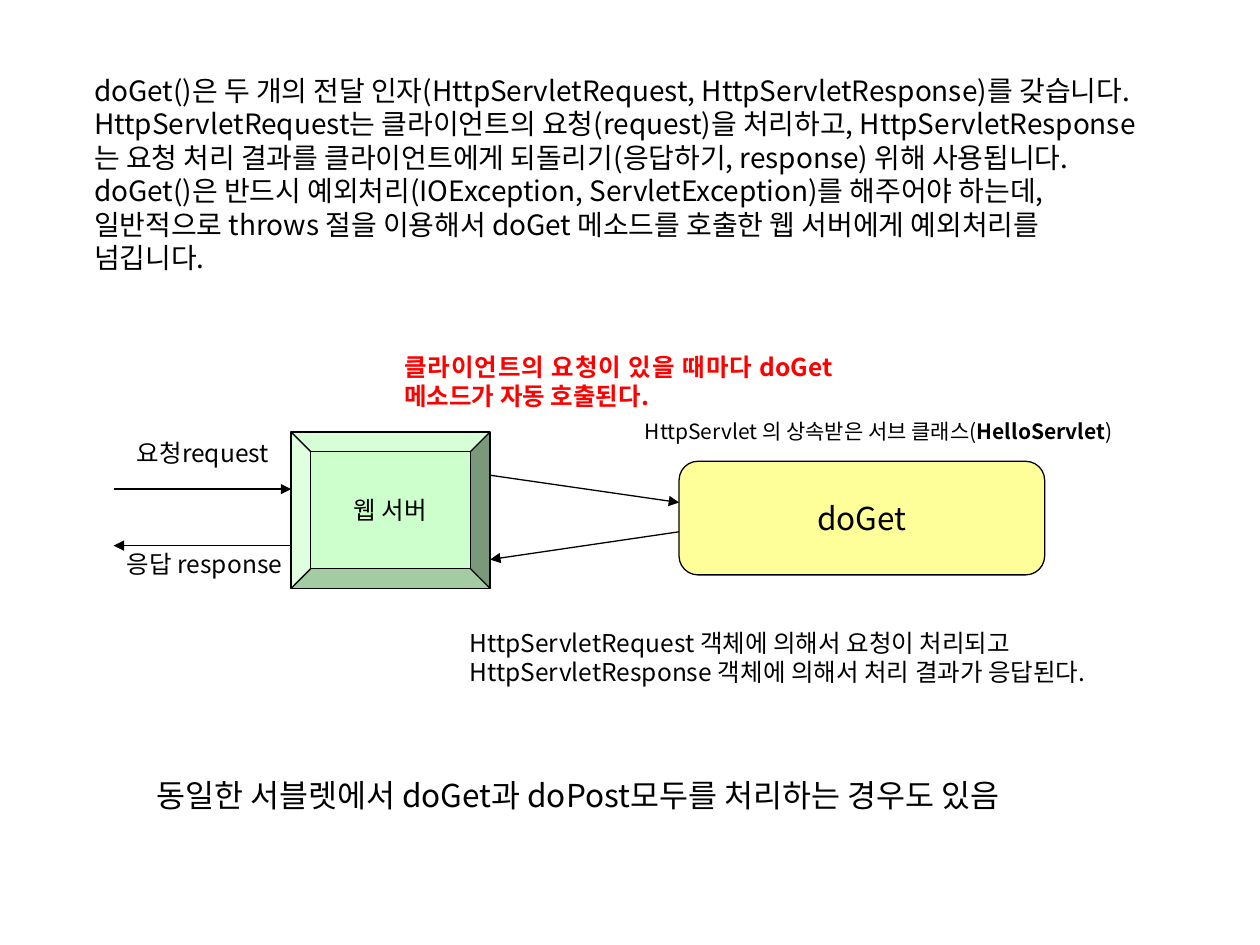
import pptx
import pptx.dml.color
import pptx.enum.shapes
import pptx.enum.text
import pptx.oxml.ns
import pptx.util
from lxml import etree
from pptx.util import Cm

BLACK = pptx.dml.color.RGBColor(0x00, 0x00, 0x00)
RED = pptx.dml.color.RGBColor(0xFF, 0x00, 0x00)
YELLOW = pptx.dml.color.RGBColor(0xFF, 0xFF, 0x99)
GREEN = pptx.dml.color.RGBColor(0xCC, 0xFF, 0xCC)

FONT = "Noto Sans CJK KR"
LINE_RATIO = 1.2
SHAPES = pptx.enum.shapes.MSO_SHAPE
ALIGN = pptx.enum.text.PP_ALIGN
ANCHOR = pptx.enum.text.MSO_ANCHOR
qn = pptx.oxml.ns.qn

EXPLANATION = (
    "doGet()은 두 개의 전달 인자(HttpServletRequest, HttpServletResponse)를 갖습니다. "
    "HttpServletRequest는 클라이언트의 요청(request)을 처리하고, "
    "HttpServletResponse는 요청 처리 결과를 클라이언트에게 되돌리기(응답하기, response) "
    "위해 사용됩니다. doGet()은 반드시 예외처리(IOException, ServletException)를 "
    "해주어야 하는데, 일반적으로 throws 절을 이용해서 doGet 메소드를 호출한 "
    "웹 서버에게 예외처리를 넘깁니다."
)


def format_span(span, size, color, bold):
    span.font.name = FONT
    span.font.size = pptx.util.Pt(size)
    span.font.bold = bold
    span.font.color.rgb = color
    east_asian = etree.SubElement(span.font._element, qn("a:ea"))
    east_asian.set("typeface", FONT)


def format_text(frame, size, color=BLACK, bold=False, align=ALIGN.LEFT):
    for para in frame.paragraphs:
        para.alignment = align
        para.line_spacing = pptx.util.Pt(size * LINE_RATIO)
        for span in para.runs:
            format_span(span, size, color, bold)


def add_label(page, bounds, text, size, anchor=ANCHOR.TOP, wrap=True, **style):
    box = page.shapes.add_textbox(*map(Cm, bounds))
    frame = box.text_frame
    frame.word_wrap = wrap
    frame.vertical_anchor = anchor
    frame.text = text
    format_text(frame, size, **style)
    return box


def add_node(page, kind, bounds, fill, text, size):
    node = page.shapes.add_shape(kind, *map(Cm, bounds))
    node.shadow.inherit = False
    node.fill.solid()
    node.fill.fore_color.rgb = fill
    node.line.color.rgb = BLACK
    node.line.width = pptx.util.Pt(0.75)
    node.text_frame.word_wrap = False
    node.text_frame.vertical_anchor = ANCHOR.MIDDLE
    node.text_frame.text = text
    format_text(node.text_frame, size, align=ALIGN.CENTER)


def add_arrow(page, ends):
    arrow = page.shapes.add_connector(
        pptx.enum.shapes.MSO_CONNECTOR.STRAIGHT, *map(Cm, ends))
    arrow.line.color.rgb = BLACK
    arrow.line.width = pptx.util.Pt(0.75)
    etree.SubElement(arrow.line._get_or_add_ln(), qn("a:tailEnd"), type="triangle")
    etree.SubElement(arrow._element.spPr, qn("a:effectLst"))


def add_class_label(page):
    box = add_label(page, (12.75, 8.31, 10.8, 0.76),
                    "HttpServlet 의 상속받은 서브 클래스(", 12,
                    anchor=ANCHOR.MIDDLE, align=ALIGN.JUSTIFY)
    para = box.text_frame.paragraphs[0]
    for text, bold in (("HelloServlet", True), (")", False)):
        span = para.add_run()
        span.text = text
        format_span(span, 12, BLACK, bold)


def main():
    deck = pptx.Presentation()
    deck.slide_width, deck.slide_height = Cm(25.4), Cm(19.05)
    page = deck.slides.add_slide(deck.slide_layouts[6])

    add_label(page, (1.65, 1.32, 21.62, 4.37), EXPLANATION, 16, anchor=ANCHOR.MIDDLE)
    add_class_label(page)
    add_node(page, SHAPES.ROUNDED_RECTANGLE, (13.69, 9.3, 7.37, 2.29), YELLOW, "doGet", 18)
    add_label(page, (7.9, 6.96, 9.14, 1.45),
              "클라이언트의 요청이 있을 때마다 doGet 메소드가 자동 호출된다.", 14,
              anchor=ANCHOR.MIDDLE, color=RED, bold=True, align=ALIGN.JUSTIFY)
    add_node(page, SHAPES.BEVEL, (5.87, 8.71, 4.01, 3.15), GREEN, "웹 서버", 14)

    for ends in (
        (2.29, 9.86, 5.87, 9.86),
        (9.88, 9.58, 13.69, 10.13),
        (13.69, 10.72, 9.88, 11.28),
        (5.87, 11, 2.29, 11),
    ):
        add_arrow(page, ends)

    add_label(page, (2.51, 8.71, 3.35, 0.86), "요청request", 14)
    add_label(page, (2.31, 10.95, 4.01, 0.86), "응답 response", 14)
    add_label(page, (9.22, 12.52, 14.27, 1.45),
              "HttpServletRequest 객체에 의해서 요청이 처리되고\n"
              "HttpServletResponse 객체에 의해서 처리 결과가 응답된다.", 14,
              anchor=ANCHOR.MIDDLE, align=ALIGN.JUSTIFY)
    add_label(page, (2.9, 15.52, 19.13, 1.02),
              "동일한 서블렛에서 doGet과 doPost모두를 처리하는 경우도 있음", 18, wrap=False)

    deck.save("out.pptx")


if __name__ == "__main__":
    main()
